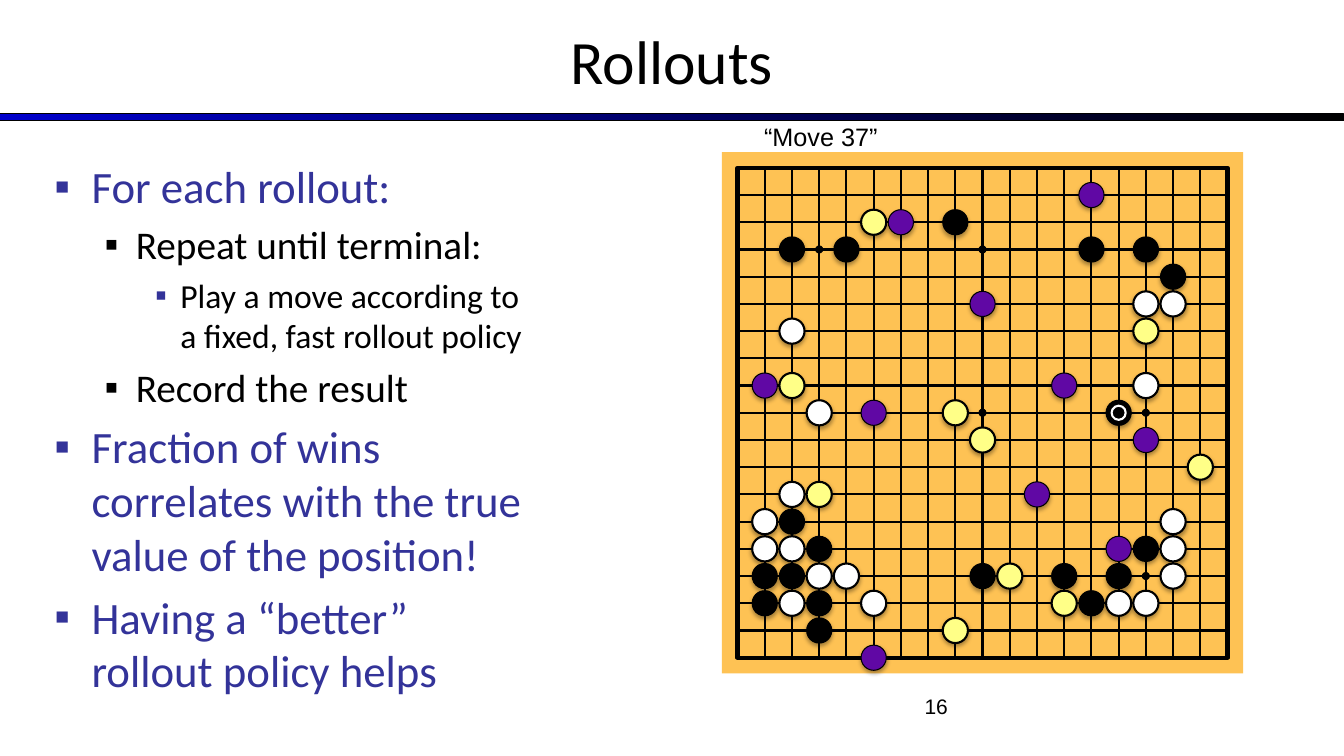
from lxml import etree
from pptx import Presentation
from pptx.dml.color import RGBColor
from pptx.enum.shapes import MSO_CONNECTOR, MSO_SHAPE
from pptx.enum.text import MSO_ANCHOR, PP_ALIGN
from pptx.oxml.ns import qn
from pptx.util import Inches, Pt

RECTANGLE, OVAL = MSO_SHAPE.RECTANGLE, MSO_SHAPE.OVAL
STRAIGHT = MSO_CONNECTOR.STRAIGHT
LEFT, CENTER, RIGHT = PP_ALIGN.LEFT, PP_ALIGN.CENTER, PP_ALIGN.RIGHT
TOP, MIDDLE = MSO_ANCHOR.TOP, MSO_ANCHOR.MIDDLE

BLACK = RGBColor(0x00, 0x00, 0x00)
WHITE = RGBColor(0xFF, 0xFF, 0xFF)
BLUE = RGBColor(0x00, 0x00, 0xCC)
INDIGO = RGBColor(0x33, 0x33, 0x99)
WOOD = RGBColor(0xFE, 0xC2, 0x54)
YELLOW = RGBColor(0xFF, 0xFF, 0x87)
PURPLE = RGBColor(0x60, 0x08, 0xA4)

BULLETS = [
    (0, "For each rollout:"),
    (1, "Repeat until terminal:"),
    (2, "Play a move according to a fixed, fast rollout policy"),
    (1, "Record the result"),
    (0, "Fraction of wins correlates with the true value of the position!"),
    (0, "Having a “better” rollout policy helps"),
]
# level: size, text colour, bullet colour, margin, hanging indent
LEVELS = [
    (32, INDIGO, INDIGO, 0.37, 0.37),
    (28, BLACK, BLACK, 0.81, 0.31),
    (24, BLACK, INDIGO, 1.25, 0.25),
]

GRID_STEPS = 18
LAST_MOVE = (14, 9)
STAR_POINTS = [(3, 3), (9, 3), (15, 3), (9, 9), (15, 9), (9, 15), (15, 15)]
STONES = [
    (BLACK, 0.75, [(8, 2), (2, 3), (4, 3), (13, 3), (15, 3), (16, 4), LAST_MOVE, (2, 13),
                   (3, 14), (15, 14), (1, 15), (2, 15), (9, 15), (12, 15), (14, 15),
                   (1, 16), (3, 16), (13, 16), (3, 17)]),
    (WHITE, 1.5, [(15, 5), (16, 5), (2, 6), (15, 8), (3, 9), (2, 12), (1, 13), (16, 13),
                  (1, 14), (2, 14), (16, 14), (3, 15), (4, 15), (16, 15), (2, 16),
                  (5, 16), (14, 16), (15, 16)]),
    (YELLOW, 1.5, [(5, 2), (15, 6), (2, 8), (8, 9), (9, 10), (17, 11), (3, 12),
                   (10, 15), (12, 16), (8, 17)]),
    (PURPLE, 0.75, [(13, 1), (6, 2), (9, 5), (1, 8), (12, 8), (5, 9), (15, 10),
                    (11, 12), (14, 14), (5, 18)]),
]


def add_text(slide, box, text, size, font, align=LEFT, anchor=TOP, wrap=True):
    """Add one line of black text in the given box."""
    frame = slide.shapes.add_textbox(*map(Inches, box)).text_frame
    frame.word_wrap = wrap
    frame.vertical_anchor = anchor
    frame.text = text
    paragraph = frame.paragraphs[0]
    paragraph.alignment = align
    paragraph.font.size = Pt(size)
    paragraph.font.name = font
    paragraph.font.color.rgb = BLACK


def add_shape(slide, kind, box, fill=None, line=None, width=0.75):
    """Add a preset shape without shadow; None means no fill or no line."""
    shape = slide.shapes.add_shape(kind, *map(Inches, box))
    shape.shadow.inherit = False
    if fill is None:
        shape.fill.background()
    else:
        shape.fill.solid()
        shape.fill.fore_color.rgb = fill
    if line is None:
        shape.line.fill.background()
    else:
        shape.line.color.rgb = line
        shape.line.width = Pt(width)
    return shape


def add_shadow(shape):
    """Give a shape a soft shadow straight below it."""
    effects = shape.element.spPr.find(qn("a:effectLst"))
    shadow = etree.SubElement(effects, qn("a:outerShdw"), blurRad=str(Pt(3.1)),
                              dist=str(Pt(1.8)), dir="5400000", rotWithShape="0")
    color = etree.SubElement(shadow, qn("a:srgbClr"), val=str(BLACK))
    etree.SubElement(color, qn("a:alpha"), val="35000")


def add_header(slide, left, top, width, height):
    """Add the centred title and the gradient rule under it."""
    add_text(slide, (left, top, width, height), "Rollouts", 44, "Calibri", CENTER, MIDDLE)
    rule = add_shape(slide, RECTANGLE, (left, top + 1.16, width, 0.07), BLUE, BLACK)
    rule.fill.gradient()
    rule.fill.gradient_angle = 0
    for stop, color in zip(rule.fill.gradient_stops, (BLUE, BLACK)):
        stop.color.rgb = color


def add_bullets(slide, left, top, width, height):
    """Add the bulleted list with three levels."""
    frame = slide.shapes.add_textbox(*map(Inches, (left, top, width, height))).text_frame
    frame.word_wrap = True
    for index, (level, text) in enumerate(BULLETS):
        size, color, bullet_color, margin, hanging = LEVELS[level]
        paragraph = frame.paragraphs[0] if index == 0 else frame.add_paragraph()
        paragraph.text = text
        paragraph.level = level
        if index:
            paragraph.space_before = Pt(0.2 * size)
        properties = paragraph._p.get_or_add_pPr()
        properties.set("marL", str(Inches(margin)))
        properties.set("indent", str(-Inches(hanging)))
        bullet = etree.SubElement(properties, qn("a:buClr"))
        etree.SubElement(bullet, qn("a:srgbClr"), val=str(bullet_color))
        etree.SubElement(properties, qn("a:buFont"), typeface="Arial")
        etree.SubElement(properties, qn("a:buChar"), char="▪")
        paragraph.font.size = Pt(size)
        paragraph.font.name = "Calibri"
        paragraph.font.color.rgb = color


def add_grid_line(slide, start, end):
    """Add one thin line of the board."""
    connector = slide.shapes.add_connector(STRAIGHT, *map(Inches, start + end))
    connector.line.color.rgb = BLACK
    connector.line.width = Pt(1.5)
    etree.SubElement(connector.element.spPr, qn("a:effectLst"))


def add_board(slide, left, top, size):
    """Add the board with its grid, star points, stones and last move."""
    margin = 0.155
    grid_left, grid_top, grid_size = left + margin, top + margin, size - 2 * margin
    step = grid_size / GRID_STEPS
    grid_right, grid_bottom = grid_left + grid_size, grid_top + grid_size

    def add_disc(point, diameter, fill, line, width=0.75):
        """Add a circle centred on a grid point."""
        column, row = point
        box = (grid_left + column * step - diameter / 2,
               grid_top + row * step - diameter / 2, diameter, diameter)
        return add_shape(slide, OVAL, box, fill, line, width)

    add_shape(slide, RECTANGLE, (left, top, size, size), WOOD)
    add_shape(slide, RECTANGLE, (grid_left, grid_top, grid_size, grid_size), None, BLACK, 3)
    for number in range(1, GRID_STEPS):
        x, y = grid_left + number * step, grid_top + number * step
        add_grid_line(slide, (grid_left, y), (grid_right, y))
        add_grid_line(slide, (x, grid_top), (x, grid_bottom))
    for point in STAR_POINTS:
        add_disc(point, 0.07, BLACK, BLACK)
    for color, width, points in STONES:
        for point in points:
            add_shadow(add_disc(point, 0.25, color, BLACK, width))
    add_shadow(add_disc(LAST_MOVE, 0.14, None, WHITE, 1.5))


def main():
    """Build the slide and save it."""
    presentation = Presentation()
    presentation.slide_width = Inches(13.33)
    presentation.slide_height = Inches(7.5)
    slide = presentation.slides.add_slide(presentation.slide_layouts[6])
    add_header(slide, 0, -0.03, 13.33, 1.25)
    add_bullets(slide, 0.44, 1.53, 4.97, 5.17)
    add_text(slide, (7.17, 6.83, 2.33, 0.52), "16", 15, "Arial", RIGHT)
    add_board(slide, 7.16, 1.51, 5.17)
    add_text(slide, (7.48, 1.15, 1.34, 0.4), "“Move 37”", 18, "Arial", wrap=False)
    presentation.save("out.pptx")


if __name__ == "__main__":
    main()
